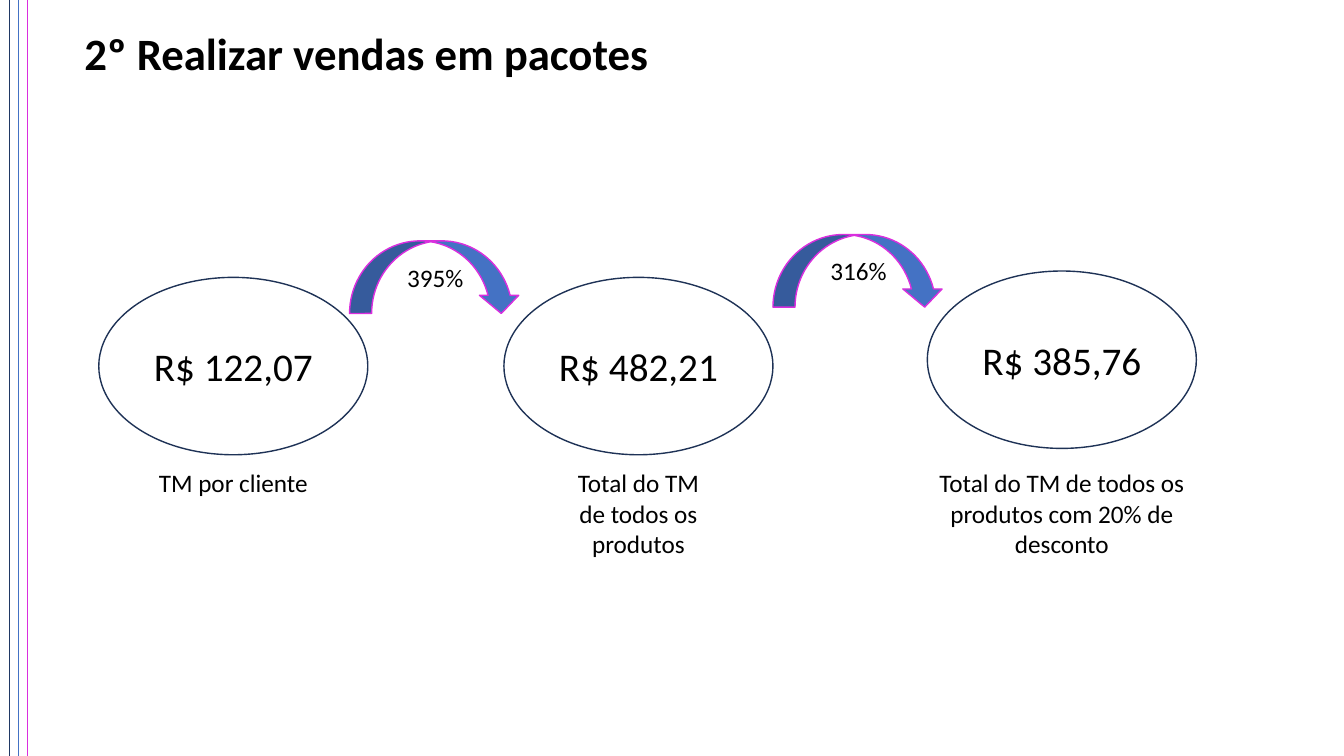
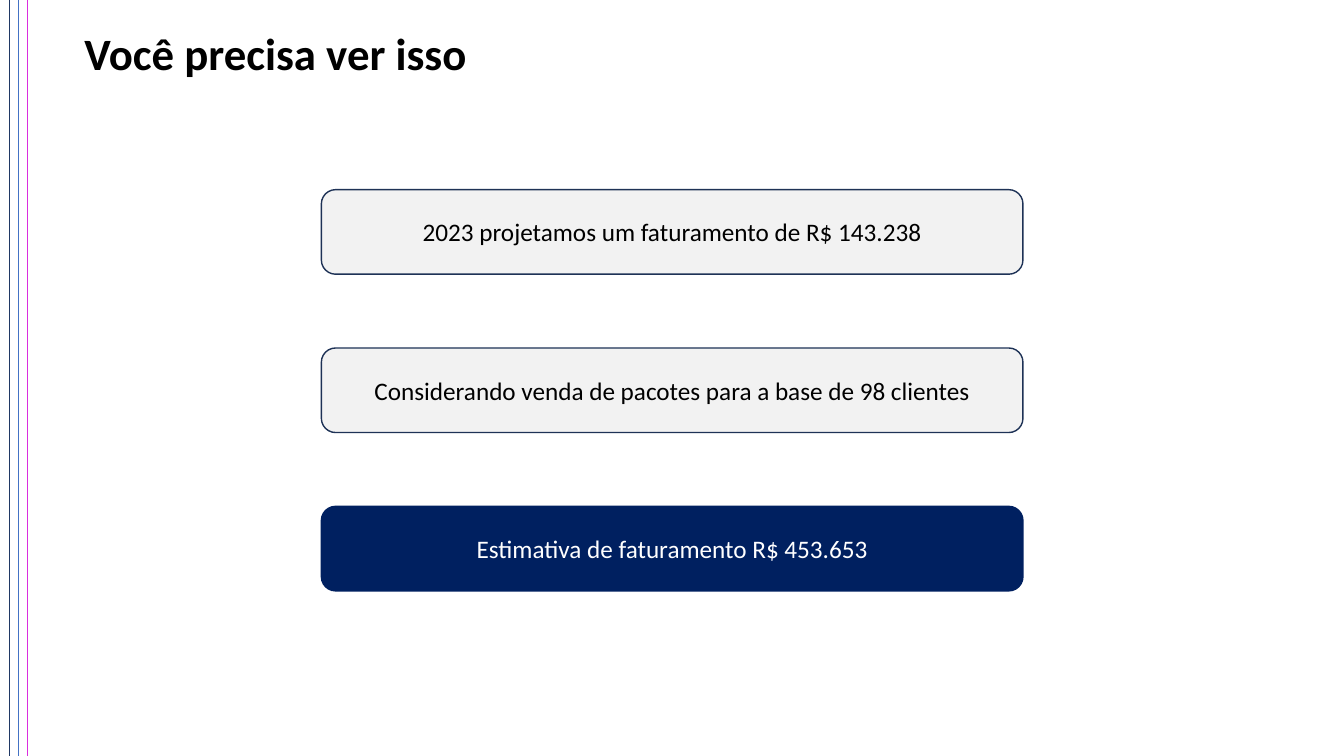
from dataclasses import dataclass

from lxml import etree
from pptx import Presentation
from pptx.dml.color import RGBColor
from pptx.enum.shapes import MSO_CONNECTOR, MSO_SHAPE
from pptx.enum.text import MSO_ANCHOR, PP_ALIGN
from pptx.oxml.ns import qn
from pptx.util import Cm, Pt

LEFT, CENTER = PP_ALIGN.LEFT, PP_ALIGN.CENTER
TOP, MIDDLE = MSO_ANCHOR.TOP, MSO_ANCHOR.MIDDLE
OVAL = MSO_SHAPE.OVAL
CURVED_ARROW = MSO_SHAPE.CURVED_DOWN_ARROW
ROUNDED_BOX = MSO_SHAPE.FLOWCHART_ALTERNATE_PROCESS
STRAIGHT = MSO_CONNECTOR.STRAIGHT


@dataclass(frozen=True)
class Theme:
    font: str = "Calibri"
    black: str = "000000"
    white: str = "FFFFFF"
    blue: str = "4472C4"
    deep_blue: str = "203864"
    magenta: str = "DA2EDE"
    outline: str = "1E3256"
    navy: str = "002060"
    gray: str = "F2F2F2"
    title_size: int = 32
    value_size: int = 28
    body_size: int = 18
    rule_width: float = 0.5
    outline_width: float = 1


THEME = Theme()
SLIDE_WIDTH, SLIDE_HEIGHT = 33.87, 19.05

RULE_GAP = 0.23
RULE_COLORS = [THEME.deep_blue, THEME.blue, THEME.magenta]
TITLE_BOX = (1.88, 0.53, 31.04, 1.63)

PACKAGES_TITLE = "2º Realizar vendas em pacotes"
STAGES = [
    {"value": "R$ 122,07", "caption": "TM por cliente",
     "left": 2.49, "top": 6.99, "caption_size": (4.32, 1.02)},
    {"value": "R$ 482,21", "caption": "Total do TM de todos os produtos",
     "left": 12.7, "top": 6.99, "caption_size": (4.32, 2.57), "growth": "395%"},
    {"value": "R$ 385,76", "caption": "Total do TM de todos os produtos com 20% de desconto",
     "left": 23.37, "top": 6.83, "caption_size": (7.11, 2.57), "growth": "316%"},
]
OVAL_SIZE = (6.78, 4.47)
CAPTION_TOP = 11.66
ARROW_SIZE = (4.32, 1.83)
ARROW_OFFSET = (-3.89, -0.92)
ARROW_ADJUSTMENTS = (0.304, 0.541, 0.25)
GROWTH_SIZE = (2.16, 1.02)
GROWTH_OFFSET = (1.2, 0.41)

FORECAST_TITLE = "Você precisa ver isso"
FORECASTS = [
    ("2023 projetamos um faturamento de R$ 143.238", THEME.gray, THEME.outline, THEME.black),
    ("Considerando venda de pacotes para a base de 98 clientes",
     THEME.gray, THEME.outline, THEME.black),
    ("Estimativa de faturamento R$ 453.653", THEME.navy, THEME.navy, THEME.white),
]
FORECAST_BOX = (8.1, 4.78, 17.68, 2.13)
FORECAST_STEP = 3.99


def color(value):
    return RGBColor.from_string(value)


def write(shape, text, size, font_color=THEME.black, bold=False, align=LEFT, anchor=TOP):
    frame = shape.text_frame
    frame.word_wrap = True
    frame.vertical_anchor = anchor
    paragraph = frame.paragraphs[0]
    paragraph.alignment = align
    run = paragraph.add_run()
    run.text = text
    run.font.name = THEME.font
    run.font.size = Pt(size)
    run.font.bold = bold
    run.font.color.rgb = color(font_color)


def add_text(slide, box, text, size=THEME.body_size, **style):
    write(slide.shapes.add_textbox(*map(Cm, box)), text, size, **style)


def add_shape(slide, kind, box, line, fill=None):
    shape = slide.shapes.add_shape(kind, *map(Cm, box))
    shape.shadow.inherit = False
    if fill:
        shape.fill.solid()
        shape.fill.fore_color.rgb = color(fill)
    else:
        shape.fill.background()
    shape.line.color.rgb = color(line)
    shape.line.width = Pt(THEME.outline_width)
    return shape


def add_rule(slide, left, line):
    rule = slide.shapes.add_connector(STRAIGHT, Cm(left), Cm(0), Cm(left), Cm(SLIDE_HEIGHT))
    rule.line.color.rgb = color(line)
    rule.line.width = Pt(THEME.rule_width)
    etree.SubElement(rule._element.spPr, qn("a:effectLst"))


def add_slide(presentation, title):
    slide = presentation.slides.add_slide(presentation.slide_layouts[6])
    for position, line in enumerate(RULE_COLORS, start=1):
        add_rule(slide, position * RULE_GAP, line)
    add_text(slide, TITLE_BOX, title, THEME.title_size, bold=True)
    return slide


def add_growth(slide, stage):
    left, top = stage["left"] + ARROW_OFFSET[0], stage["top"] + ARROW_OFFSET[1]
    arrow = add_shape(slide, CURVED_ARROW, (left, top, *ARROW_SIZE), THEME.magenta, THEME.blue)
    for index, adjustment in enumerate(ARROW_ADJUSTMENTS):
        arrow.adjustments[index] = adjustment
    label_box = (left + GROWTH_OFFSET[0], top + GROWTH_OFFSET[1], *GROWTH_SIZE)
    add_text(slide, label_box, stage["growth"])


def add_stage(slide, stage):
    oval = add_shape(slide, OVAL, (stage["left"], stage["top"], *OVAL_SIZE), THEME.outline)
    write(oval, stage["value"], THEME.value_size, align=CENTER, anchor=MIDDLE)
    width, height = stage["caption_size"]
    caption_left = stage["left"] + (OVAL_SIZE[0] - width) / 2
    add_text(slide, (caption_left, CAPTION_TOP, width, height), stage["caption"], align=CENTER)
    if "growth" in stage:
        add_growth(slide, stage)


def build_packages(presentation):
    slide = add_slide(presentation, PACKAGES_TITLE)
    for stage in STAGES:
        add_stage(slide, stage)


def build_forecast(presentation):
    slide = add_slide(presentation, FORECAST_TITLE)
    left, top, width, height = FORECAST_BOX
    for row, (text, fill, line, font_color) in enumerate(FORECASTS):
        box = (left, top + row * FORECAST_STEP, width, height)
        shape = add_shape(slide, ROUNDED_BOX, box, line, fill)
        write(shape, text, THEME.body_size, font_color, align=CENTER, anchor=MIDDLE)


def main():
    presentation = Presentation()
    presentation.slide_width = Cm(SLIDE_WIDTH)
    presentation.slide_height = Cm(SLIDE_HEIGHT)
    build_packages(presentation)
    build_forecast(presentation)
    presentation.save("out.pptx")


if __name__ == "__main__":
    main()
